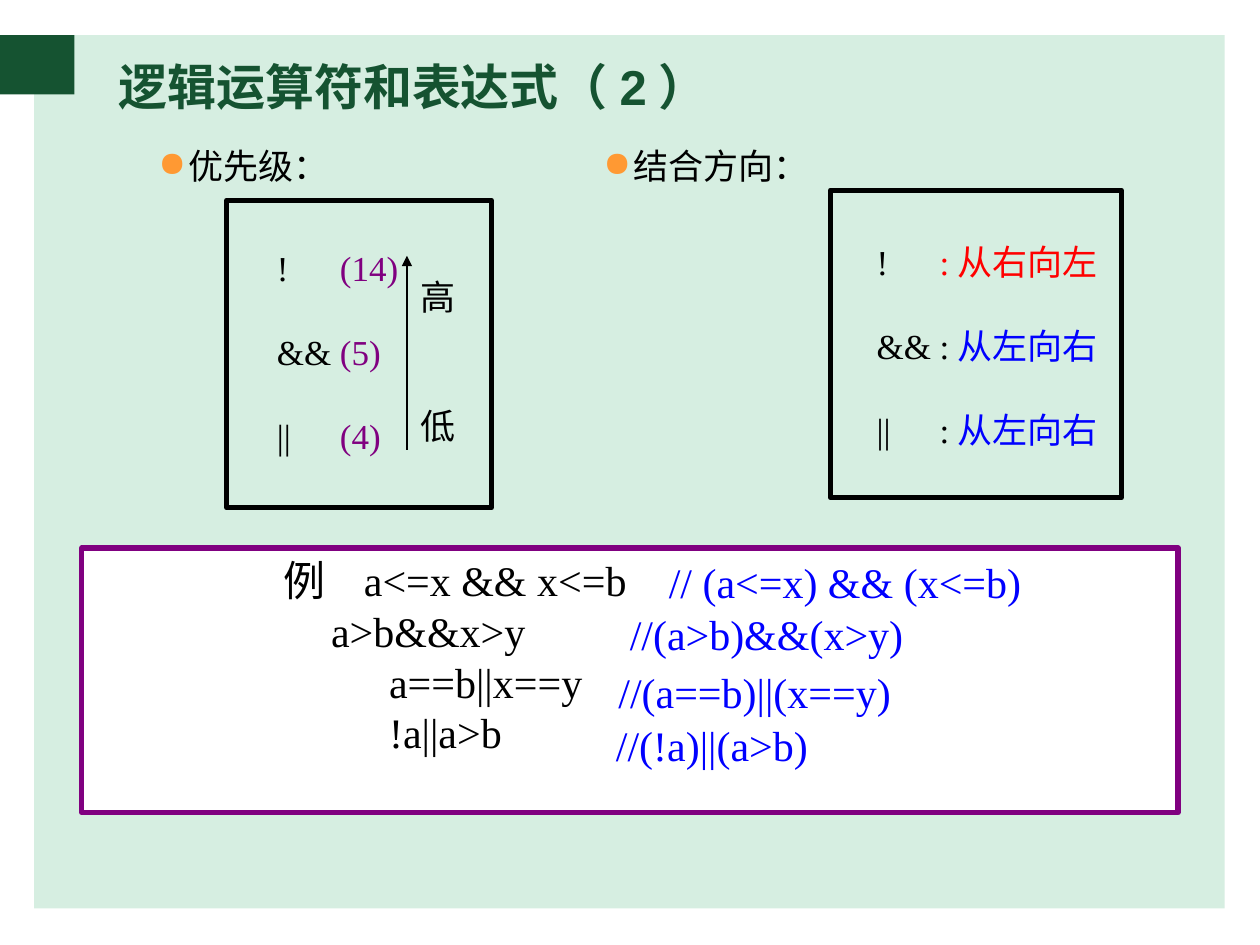
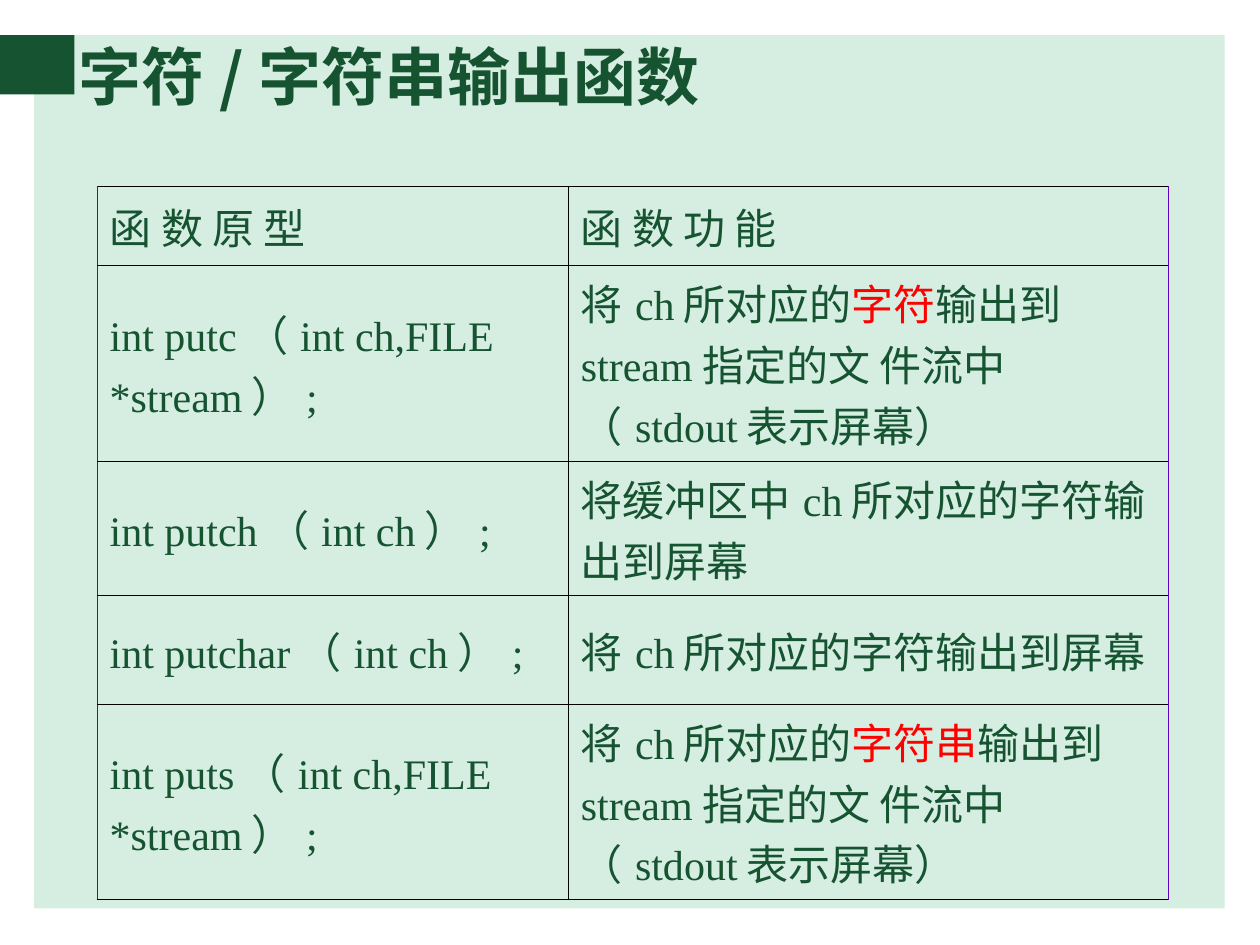
from dataclasses import dataclass

from lxml import etree
from pptx import Presentation
from pptx.dml.color import RGBColor
from pptx.enum import shapes, text
from pptx.oxml import ns
from pptx.util import Inches, Pt


@dataclass(frozen=True)
class Theme:
    green: str = "155331"
    mint: str = "D6EEE1"
    black: str = "000000"
    white: str = "FFFFFF"
    purple: str = "800080"
    violet: str = "5E02C4"
    red: str = "FF0000"
    blue: str = "0000FF"
    orange: str = "FF9933"
    serif: str = "Times New Roman"
    sans: str = "Arial"
    chinese: str = "Noto Sans CJK SC"
    label_size: int = 20
    code_size: int = 24
    title_size: int = 28
    large_title_size: int = 36


THEME = Theme()
TITLE_ONLY = 5


# ---------- shared helpers ----------

def color(value):
    return RGBColor.from_string(value)


def add_xml(parent, tag, **attributes):
    return etree.SubElement(parent, ns.qn(tag), attributes)


def write(paragraph, content, size=THEME.label_size, font=THEME.serif,
          ink=THEME.black, bold=False, before=0, line=None, indent=0,
          hanging=0, bullet=None, tab=None):
    """Fill a paragraph with a string or with (string, colour) runs."""
    properties = paragraph._p.get_or_add_pPr()
    properties.set("marL", str(Inches(indent)))
    properties.set("indent", str(-Inches(hanging)))
    if bullet:
        bullet_color = add_xml(properties, "a:buClr")
        add_xml(bullet_color, "a:srgbClr", val=THEME.orange)
        add_xml(properties, "a:buChar", char=bullet)
    if tab:
        tabs = add_xml(properties, "a:tabLst")
        add_xml(tabs, "a:tab", pos=str(Inches(tab)), algn="l")
    paragraph.alignment = text.PP_ALIGN.LEFT
    paragraph.space_before = Pt(before)
    if line:
        paragraph.line_spacing = Pt(line)
    runs = [(content, ink)] if isinstance(content, str) else content
    for words, run_ink in runs:
        run = paragraph.add_run()
        run.text = words
        run.font.size = Pt(size)
        run.font.name = font
        run.font.bold = bold
        run.font.color.rgb = color(run_ink)
        add_xml(run.font._element, "a:ea", typeface=THEME.chinese)


def next_paragraph(frame, index):
    return frame.paragraphs[0] if index == 0 else frame.add_paragraph()


def add_text(slide, left, top, width, height, content, **style):
    box = slide.shapes.add_textbox(
        Inches(left), Inches(top), Inches(width), Inches(height))
    box.text_frame.word_wrap = True
    write(box.text_frame.paragraphs[0], content, **style)
    return box


def add_box(slide, left, top, width, height, fill=None, line=None):
    box = slide.shapes.add_shape(
        shapes.MSO_SHAPE.RECTANGLE,
        Inches(left), Inches(top), Inches(width), Inches(height))
    box.shadow.inherit = False
    if fill:
        box.fill.solid()
        box.fill.fore_color.rgb = color(fill)
    else:
        box.fill.background()
    if line:
        box.line.color.rgb = color(line)
        box.line.width = Pt(3)
    else:
        box.line.fill.background()
    return box


def add_arrow(slide, start, end):
    arrow = slide.shapes.add_connector(
        shapes.MSO_CONNECTOR.STRAIGHT, *map(Inches, start + end))
    arrow.line.color.rgb = color(THEME.black)
    arrow.line.width = Pt(0.75)
    add_xml(arrow.line._get_or_add_ln(), "a:tailEnd", type="triangle")
    add_xml(arrow._element.spPr, "a:effectLst")


def set_title(slide, left, top, width, height, content, **style):
    title = slide.shapes.title
    title.left, title.top = Inches(left), Inches(top)
    title.width, title.height = Inches(width), Inches(height)
    frame = title.text_frame
    frame.auto_size = text.MSO_AUTO_SIZE.NONE
    frame.vertical_anchor = text.MSO_ANCHOR.MIDDLE
    write(frame.paragraphs[0], content, ink=THEME.green, bold=True, **style)


def move_bands_to_master(presentation, slide):
    """Draw the mint panel and the green corner, then share them."""
    bands = [add_box(slide, 0.27, 0.28, 9.45, 6.93, fill=THEME.mint),
             add_box(slide, 0, 0.28, 0.59, 0.47, fill=THEME.green)]
    tree = presentation.slide_master.shapes._spTree
    for position, band in enumerate(bands, start=2):
        tree.insert(position, band._element)


# ---------- operators slide ----------

def add_operator_panel(slide, left, top, width, text_offset, rows):
    """Framed list of operators; each row is (runs, tab stop)."""
    add_box(slide, left, top, width, 2.44, line=THEME.black)
    text_left, text_top = text_offset
    box = slide.shapes.add_textbox(
        Inches(left + text_left), Inches(top + text_top),
        Inches(width - text_left + 0.1), Inches(1.8))
    box.text_frame.word_wrap = True
    for index, (runs, tab) in enumerate(rows):
        write(next_paragraph(box.text_frame, index), runs, tab=tab,
              line=24, before=24 if index else 0)


def add_priority(slide, left, top):
    levels = [("!", "(14)", 0.44), ("&&", "(5)", 0.51), ("||", "(4)", 0.46)]
    rows = [([(operator + "\t", THEME.black), (level, THEME.purple)], tab)
            for operator, level, tab in levels]
    add_operator_panel(slide, left, top, 2.1, (0.3, 0.32), rows)
    for label, offset in (("高", 0.55), ("低", 1.57)):
        add_text(slide, left + 1.44, top + offset, 0.58, 0.44, label)
    add_arrow(slide, (left + 1.43, top + 1.98), (left + 1.43, top + 0.44))


def add_direction(slide, left, top):
    directions = [
        ([("!\t", THEME.black), (":从右向左", THEME.red)], 0.58),
        ([("&&\t:", THEME.black), ("从左向右", THEME.blue)], 0.57),
        ([("||\t:", THEME.black), ("从左向右", THEME.blue)], 0.53)]
    add_operator_panel(slide, left, top, 2.31, (0.27, 0.35), directions)


def add_examples(slide, left, top):
    box = add_box(slide, left, top, 8.7, 2.1,
                  fill=THEME.white, line=THEME.purple)
    frame = box.text_frame
    frame.word_wrap = True
    frame.vertical_anchor = text.MSO_ANCHOR.TOP
    # Expression, its indent and hang, then the place of its comment
    examples = [
        ("例\ta<=x && x<=b", 2.14, 0.64, "// (a<=x) && (x<=b)", 4.56, 0.02),
        ("a>b&&x>y", 1.88, 0, "//(a>b)&&(x>y)", 4.25, 0.43),
        ("a==b||x==y", 2.34, 0, "//(a==b)||(x==y)", 4.16, 0.89),
        ("!a||a>b", 2.34, 0, "//(!a)||(a>b)", 4.14, 1.31)]
    for index, (code, indent, hanging, comment, x, y) in enumerate(examples):
        write(next_paragraph(frame, index), code, size=THEME.code_size,
              indent=indent, hanging=hanging, line=29)
        add_text(slide, left + x, top + y, 3.3, 0.5, comment,
                 size=THEME.code_size, ink=THEME.blue)


def build_operators(slide):
    set_title(slide, 0.84, 0.23, 5.26, 0.9, "逻辑运算符和表达式（2）",
              size=THEME.title_size, font=THEME.sans)
    for label, left in (("优先级：", 1.16), ("结合方向：", 4.69)):
        add_text(slide, left, 1.1, 2, 0.44, label, font=THEME.sans,
                 bullet="●", indent=0.24, hanging=0.24)
    add_priority(slide, 1.8, 1.59)
    add_direction(slide, 6.59, 1.51)
    add_examples(slide, 0.65, 4.35)


# ---------- output functions slide ----------

def set_borders(cell, **sides):
    properties = cell._tc.get_or_add_tcPr()
    for position, side in enumerate("LRTB"):
        line = etree.Element(ns.qn("a:ln" + side), {"w": str(Pt(0.45))})
        fill = add_xml(line, "a:solidFill")
        add_xml(fill, "a:srgbClr", val=sides.get(side, THEME.black))
        properties.insert(position, line)


def stream_purpose(subject):
    return [("将ch所对应的", THEME.green), (subject, THEME.red),
            ("输出到stream指定的文 件流中（stdout表示屏幕）", THEME.green)]


def add_function_table(slide, left, top):
    rows = [
        ("函 数 原 型", "函 数 功 能", 0.63),
        ("int putc（int ch,FILE *stream）;", stream_purpose("字符"), 1.46),
        ("int putch（int ch）;", "将缓冲区中ch所对应的字符输出到屏幕", 1.01),
        ("int putchar（int ch）;", "将ch所对应的字符输出到屏幕", 0.86),
        ("int puts（int ch,FILE *stream）;", stream_purpose("字符串"), 1.46)]
    widths = (3.74, 4.76)
    table = slide.shapes.add_table(
        len(rows), len(widths), Inches(left), Inches(top),
        Inches(sum(widths)), Inches(sum(row[-1] for row in rows))).table
    table.first_row = table.horz_banding = False
    for column, width in zip(table.columns, widths):
        column.width = Inches(width)
    outer_edges = ({"L": THEME.violet}, {"R": THEME.violet})
    for row, (prototype, purpose, height) in zip(table.rows, rows):
        row.height = Inches(height)
        for cell, content, edge in zip(
                row.cells, (prototype, purpose), outer_edges):
            cell.fill.background()
            cell.vertical_anchor = text.MSO_ANCHOR.MIDDLE
            set_borders(cell, **edge)
            write(cell.text_frame.paragraphs[0], content,
                  size=THEME.code_size, ink=THEME.green)


def build_output_functions(slide):
    set_title(slide, 0.52, 0.27, 9, 0.66, "字符/字符串输出函数",
              size=THEME.large_title_size, font=THEME.chinese)
    add_function_table(slide, 0.77, 1.48)


def main():
    presentation = Presentation()
    presentation.slide_width = Inches(10)
    presentation.slide_height = Inches(7.5)
    layout = presentation.slide_layouts[TITLE_ONLY]
    operators = presentation.slides.add_slide(layout)
    move_bands_to_master(presentation, operators)
    build_operators(operators)
    build_output_functions(presentation.slides.add_slide(layout))
    presentation.save("out.pptx")


if __name__ == "__main__":
    main()
